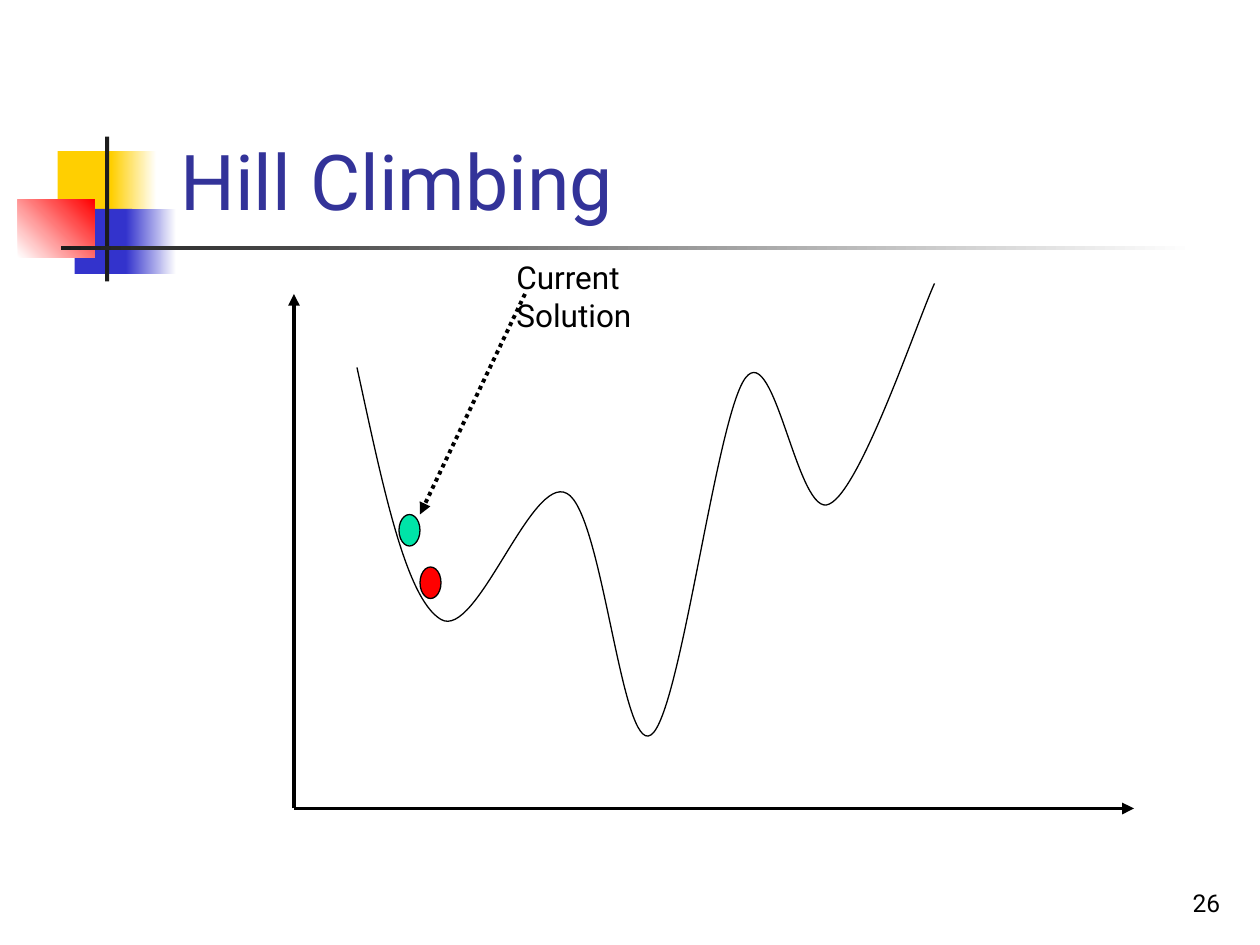
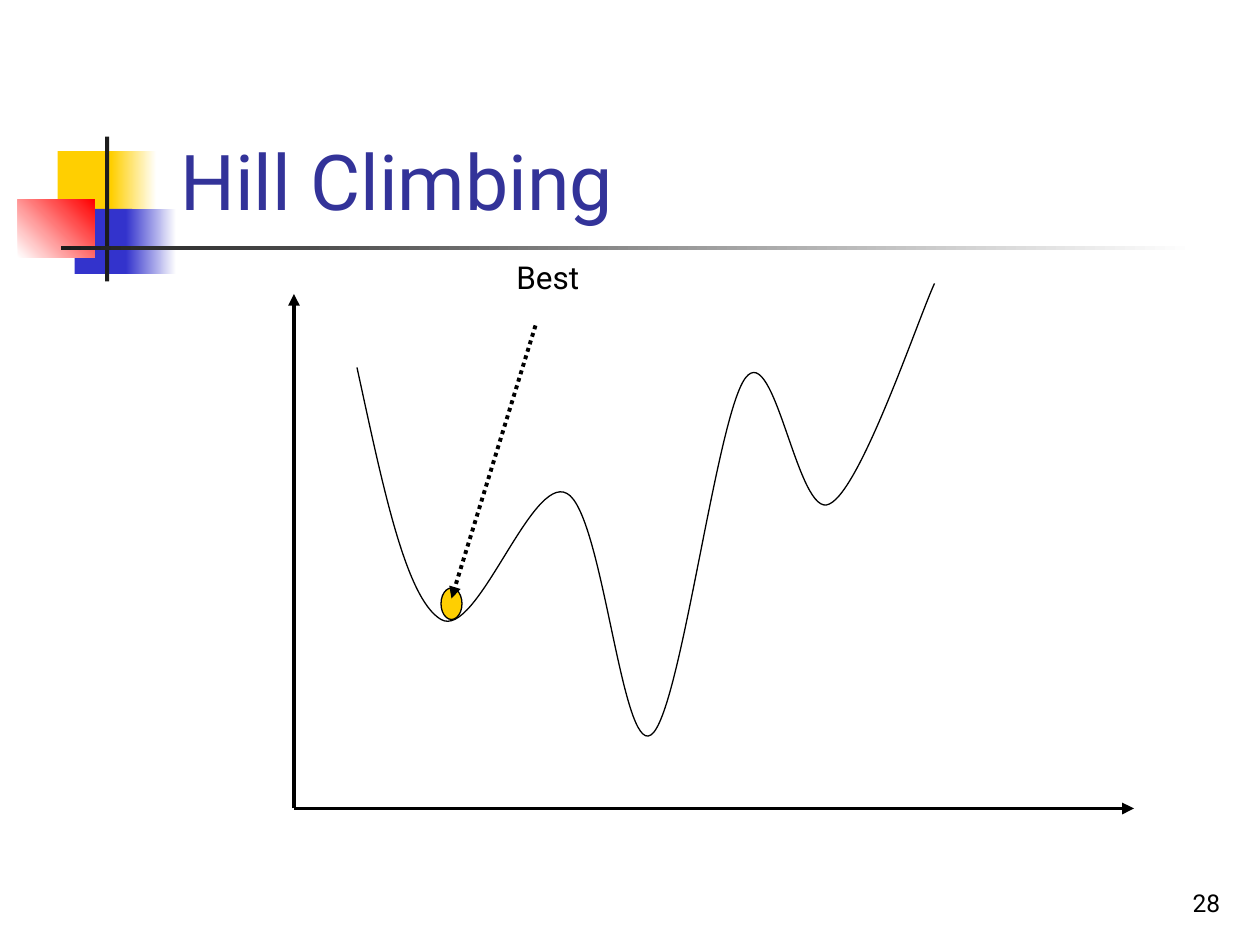
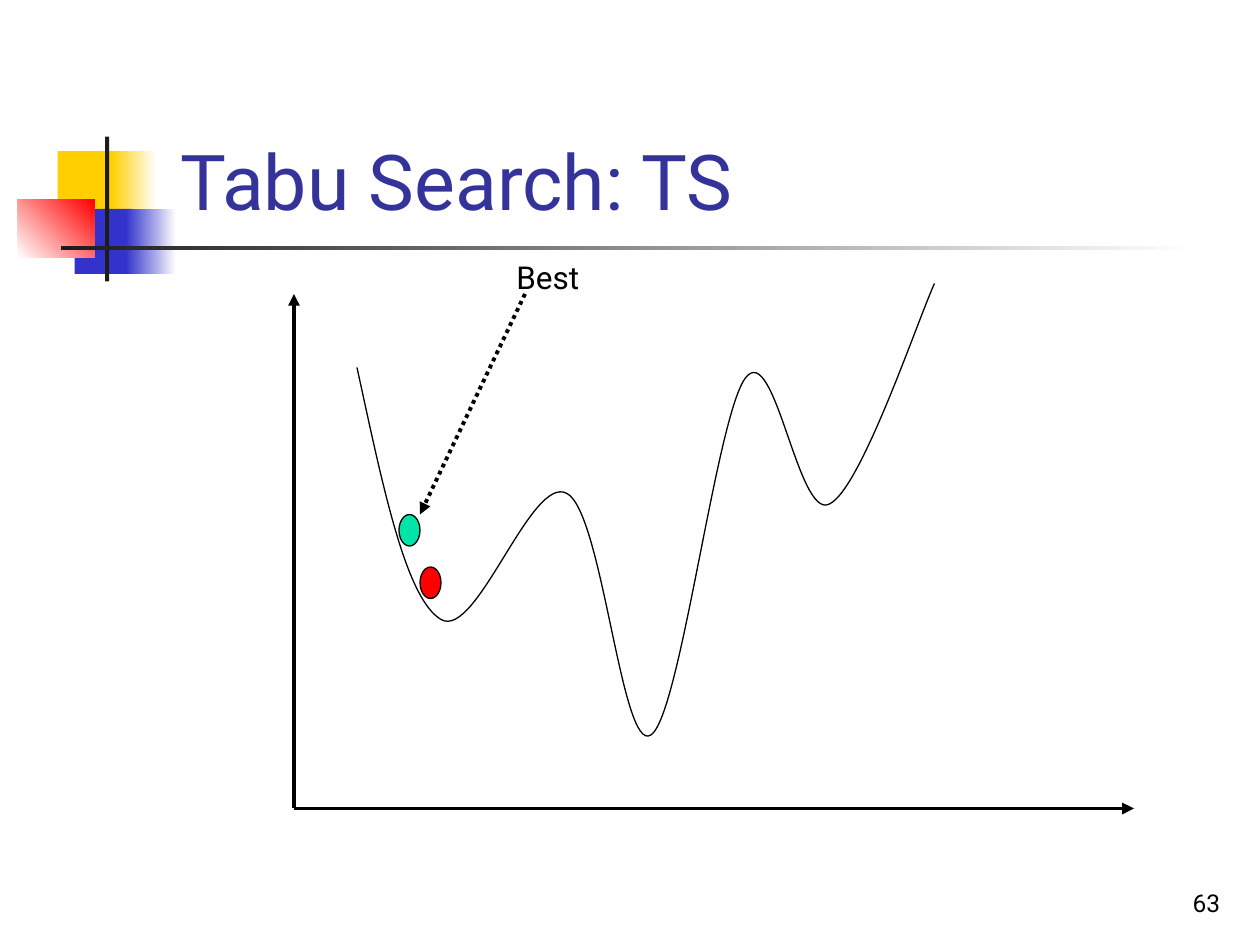
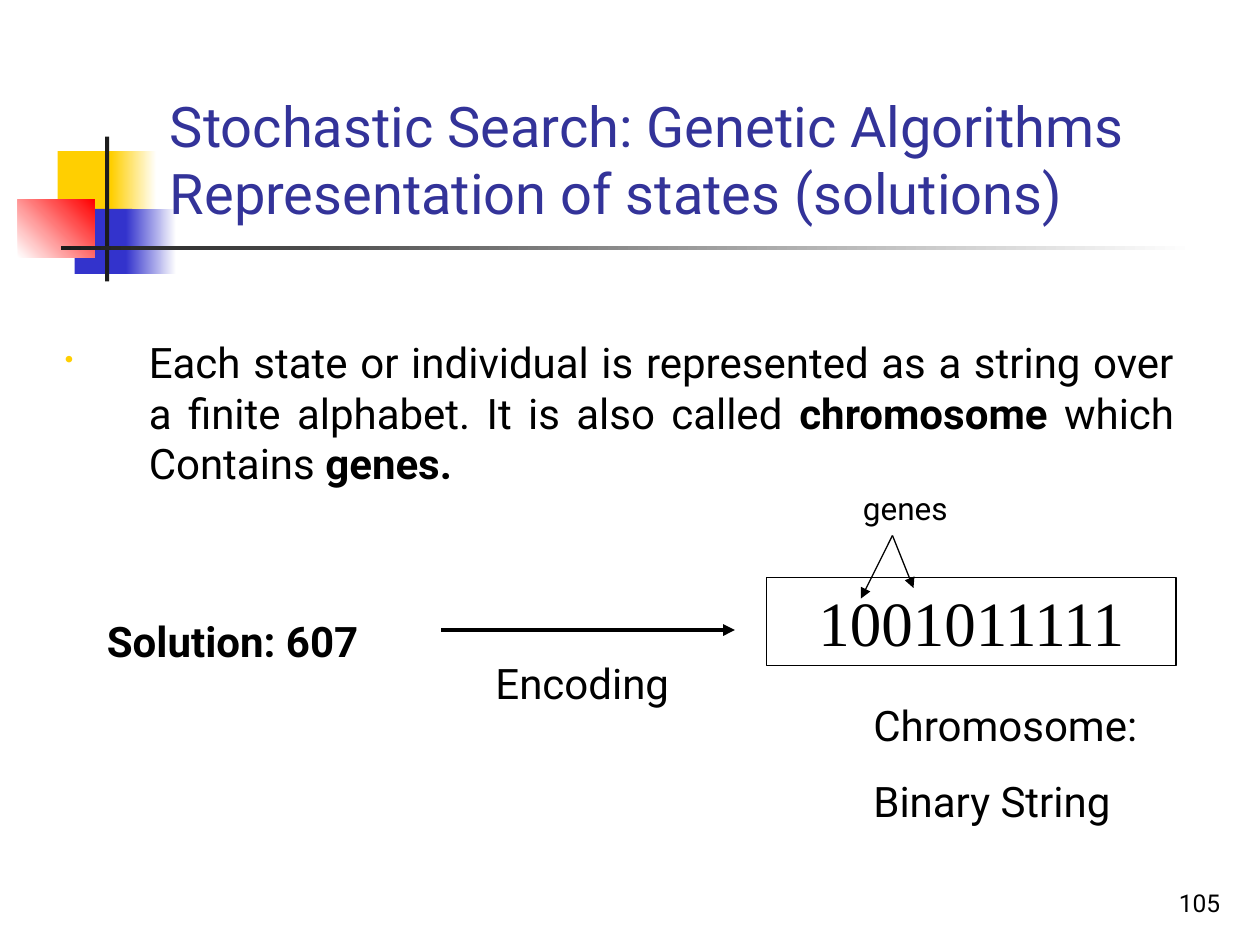
import pptx
import pptx.dml.color
import pptx.enum.dml
import pptx.enum.shapes
import pptx.enum.text
import pptx.oxml
import pptx.oxml.ns
import pptx.util

EMU_PER_PX = 7620  # 120 px to the inch
FONT = "Roboto"
COLORS = {
    "title": "333399", "ink": "000000", "bar": "1C1C1C", "white": "FFFFFF",
    "yellow": "FFCF01", "blue": "3333CC", "red": "FF0000", "green": "00E4A8",
}
ALIGN = pptx.enum.text.PP_ALIGN
ANCHOR = pptx.enum.text.MSO_ANCHOR
PRESET = pptx.enum.shapes.MSO_SHAPE
qn = pptx.oxml.ns.qn

# box, colour at the start, colour at the end (None for a plain fill), angle
MOTIF = [
    ((55, 144, 58, 62), "yellow", None, 0),
    ((106, 144, 43, 62), "yellow", "white", 0),
    ((71, 199, 55, 62), "blue", None, 0),
    ((120, 199, 48, 62), "blue", "white", 0),
    ((17, 190, 73, 55), "white", "red", 45),
    ((100, 130, 4, 138), "bar", None, 0),
    ((58, 234, 1080, 4), "bar", "white", 0),
]

# A start point, then two control points and an end point for each curve
LANDSCAPE = [
    (340, 350),
    (364, 460), (386, 570), (420, 590),
    (454, 610), (506, 451), (540, 470),
    (574, 488), (592, 719), (620, 700),
    (648, 682), (682, 397), (710, 360),
    (738, 323), (760, 496), (790, 480),
    (820, 466), (874, 305), (890, 270),
]

START_AND_NEXT = [(380, 490, "green"), (400, 540, "red")]
SEARCH_SLIDES = [
    {"number": 26, "title": "Hill Climbing", "label": "Current Solution", "label_height": 84,
     "states": START_AND_NEXT, "pointer": ((500, 280), (400, 490))},
    {"number": 28, "title": "Hill Climbing", "label": "Best", "label_height": 48,
     "states": [(420, 560, "yellow")], "pointer": ((510, 310), (430, 570))},
    {"number": 63, "title": "Tabu Search: TS", "label": "Best", "label_height": 48,
     "states": START_AND_NEXT, "pointer": ((500, 280), (400, 490))},
]


def px(*lengths):
    return [pptx.util.Emu(length * EMU_PER_PX) for length in lengths]


def rgb(name):
    return pptx.dml.color.RGBColor.from_string(COLORS[name])


def set_line(line, width):
    line.color.rgb = rgb("ink")
    line.width = pptx.util.Pt(width)


def add_preset(slide, preset, box, fill=None, line_width=None):
    shape = slide.shapes.add_shape(preset, *px(*box))
    shape.shadow.inherit = False
    if fill:
        shape.fill.solid()
        shape.fill.fore_color.rgb = rgb(fill)
    else:
        shape.fill.background()
    if line_width:
        set_line(shape.line, line_width)
    else:
        shape.line.fill.background()
    return shape


def format_text(frame, size, color="ink", font=FONT, bold=None, align=ALIGN.LEFT,
                anchor=ANCHOR.TOP, gap=0):
    """Style every run; gap is the space in points between paragraphs."""
    frame.word_wrap = True
    frame.vertical_anchor = anchor
    for index, paragraph in enumerate(frame.paragraphs):
        paragraph.alignment = align
        if index:
            paragraph.space_before = pptx.util.Pt(gap)
        for run in paragraph.runs:
            run.font.size = pptx.util.Pt(size)
            run.font.name = font
            run.font.color.rgb = rgb(color)
            if bold is not None:
                run.font.bold = bold


def add_text(slide, box, text, size, **style):
    frame = slide.shapes.add_textbox(*px(*box)).text_frame
    frame.text = text
    format_text(frame, size, **style)


def add_arrow(slide, start, end, width, dotted=False):
    arrow = slide.shapes.add_connector(
        pptx.enum.shapes.MSO_CONNECTOR.STRAIGHT, *px(*start, *end))
    set_line(arrow.line, width)
    if dotted:
        arrow.line.dash_style = pptx.enum.dml.MSO_LINE.ROUND_DOT
    line = next(arrow.element.iter(qn("a:ln")))
    line.append(pptx.oxml.parse_xml(
        f'<a:tailEnd {pptx.oxml.ns.nsdecls("a")} type="triangle"/>'))
    line.getparent().append(pptx.oxml.parse_xml(
        f'<a:effectLst {pptx.oxml.ns.nsdecls("a")}/>'))


def add_curve(slide, points):
    """Draw an open outline of cubic curves through the given points."""
    builder = slide.shapes.build_freeform(*points[0], scale=EMU_PER_PX)
    builder.add_line_segments(points[1:], close=False)
    curve = builder.convert_to_shape()
    curve.shadow.inherit = False
    curve.fill.background()
    set_line(curve.line, 0.75)

    segments = list(curve.element.iter(qn("a:lnTo")))
    for first in range(0, len(segments), 3):
        bezier = pptx.oxml.parse_xml(f'<a:cubicBezTo {pptx.oxml.ns.nsdecls("a")}/>')
        segments[first].addprevious(bezier)
        for segment in segments[first:first + 3]:
            bezier.append(segment[0])
            segment.getparent().remove(segment)


def add_motif(slide):
    for box, start, end, angle in MOTIF:
        block = add_preset(slide, PRESET.RECTANGLE, box, start)
        if end:
            block.fill.gradient()
            block.fill.gradient_angle = angle
            for stop, name in zip(block.fill.gradient_stops, (start, end)):
                stop.color.rgb = rgb(name)


def add_base_slide(deck, number, title, title_size=44, title_left=160):
    slide = deck.slides.add_slide(deck.slide_layouts[6])
    add_motif(slide)
    add_text(slide, (924, 820, 250, 60), str(number), 14,
             align=ALIGN.RIGHT, anchor=ANCHOR.BOTTOM)
    add_text(slide, (title_left, 113, 1022, 108), title, title_size,
             color="title", anchor=ANCHOR.BOTTOM)
    return slide


def add_search_slide(deck, number, title, label, label_height, states, pointer):
    slide = add_base_slide(deck, number, title)
    origin = (280, 770)
    for axis_end in ((280, 280), (1080, 770)):
        add_arrow(slide, origin, axis_end, 2.25)
    add_curve(slide, LANDSCAPE)
    for left, top, color in states:
        add_preset(slide, PRESET.OVAL, (left, top, 20, 30), color, 0.75)
    add_arrow(slide, *pointer, 2.25, dotted=True)
    add_text(slide, (480, 240, 140, label_height), label, 18)


def add_definition(slide):
    frame = slide.shapes.add_textbox(*px(50, 315, 1080, 200)).text_frame
    paragraph = frame.paragraphs[0]
    properties = paragraph._p.get_or_add_pPr()
    hanging = px(80)[0]
    properties.set("marL", str(hanging))
    properties.set("indent", str(-hanging))
    for bullet in (f'<a:buClr {{}}><a:srgbClr val="{COLORS["yellow"]}"/></a:buClr>',
                   '<a:buSzPct {} val="60000"/>', '<a:buChar {} char="•"/>'):
        properties.append(pptx.oxml.parse_xml(bullet.format(pptx.oxml.ns.nsdecls("a"))))
    for words, bold in (
            ("Each state or individual is represented as a string over a finite alphabet. "
             "It is also called ", False),
            ("chromosome ", True), ("which Contains ", False), ("genes.", True)):
        run = paragraph.add_run()
        run.text = words
        run.font.bold = bold
    format_text(frame, 24, align=ALIGN.JUSTIFY)


def add_encoding_slide(deck):
    slide = add_base_slide(
        deck, 105,
        "Stochastic Search: Genetic Algorithms\vRepresentation of states (solutions)",
        title_size=32, title_left=150)
    add_definition(slide)

    chromosome = add_preset(slide, PRESET.RECTANGLE, (730, 550, 390, 84), line_width=0.75)
    chromosome.text_frame.text = "1001011111"
    format_text(chromosome.text_frame, 36, font="Times New Roman", align=ALIGN.CENTER)

    add_text(slide, (90, 580, 320, 60), "Solution: 607", 24, bold=True)
    add_arrow(slide, (420, 600), (700, 600), 2.25)
    add_text(slide, (460, 620, 220, 60), "Encoding", 24)
    add_text(slide, (820, 660, 290, 133), "Chromosome:\nBinary String", 24, gap=15)

    add_text(slide, (810, 460, 160, 48), "genes", 18)
    for gene in ((870, 560), (820, 570)):
        add_arrow(slide, (850, 510), gene, 0.75)


def main():
    deck = pptx.Presentation()
    deck.slide_width, deck.slide_height = px(1200, 900)
    for content in SEARCH_SLIDES:
        add_search_slide(deck, **content)
    add_encoding_slide(deck)
    deck.save("out.pptx")


if __name__ == "__main__":
    main()
